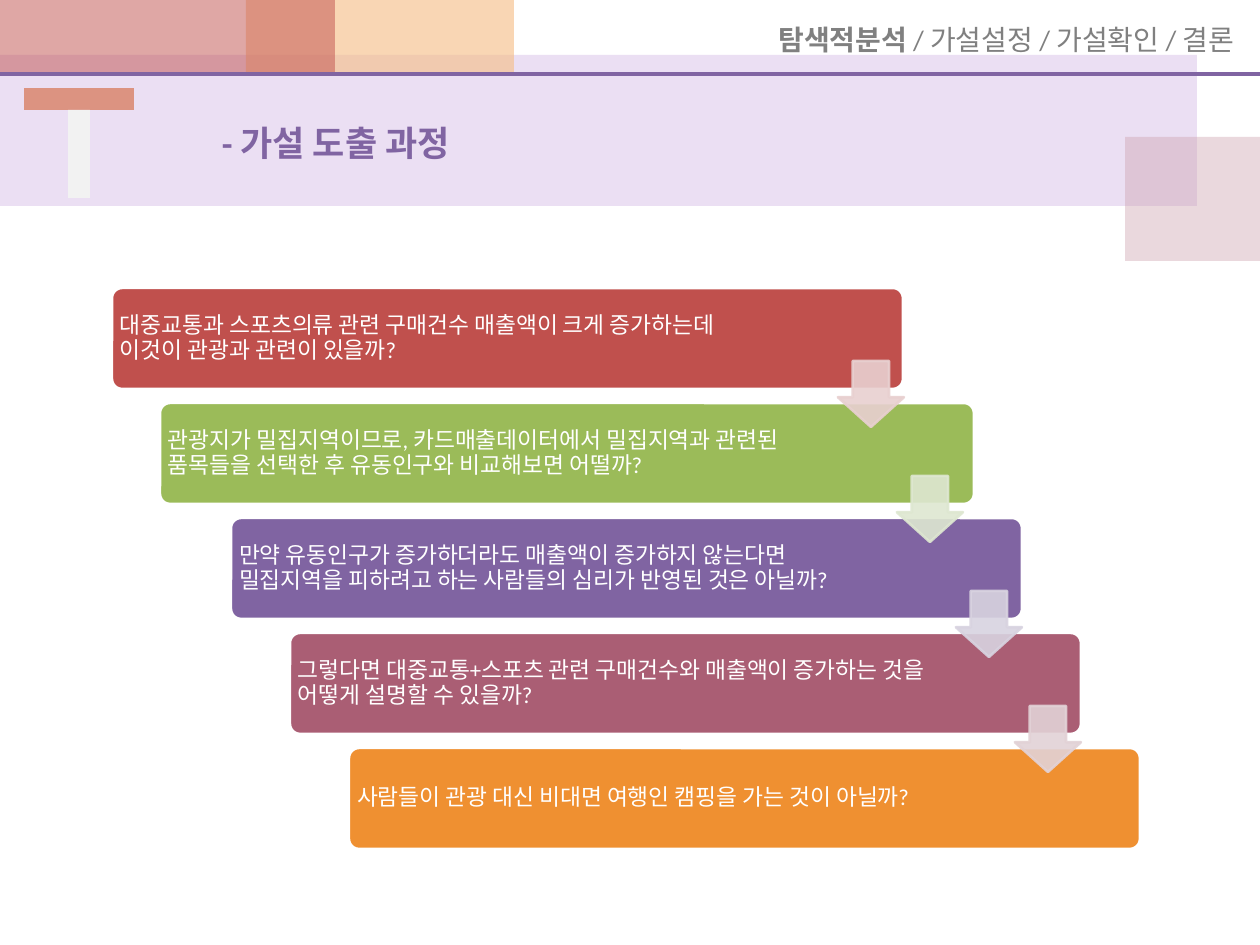
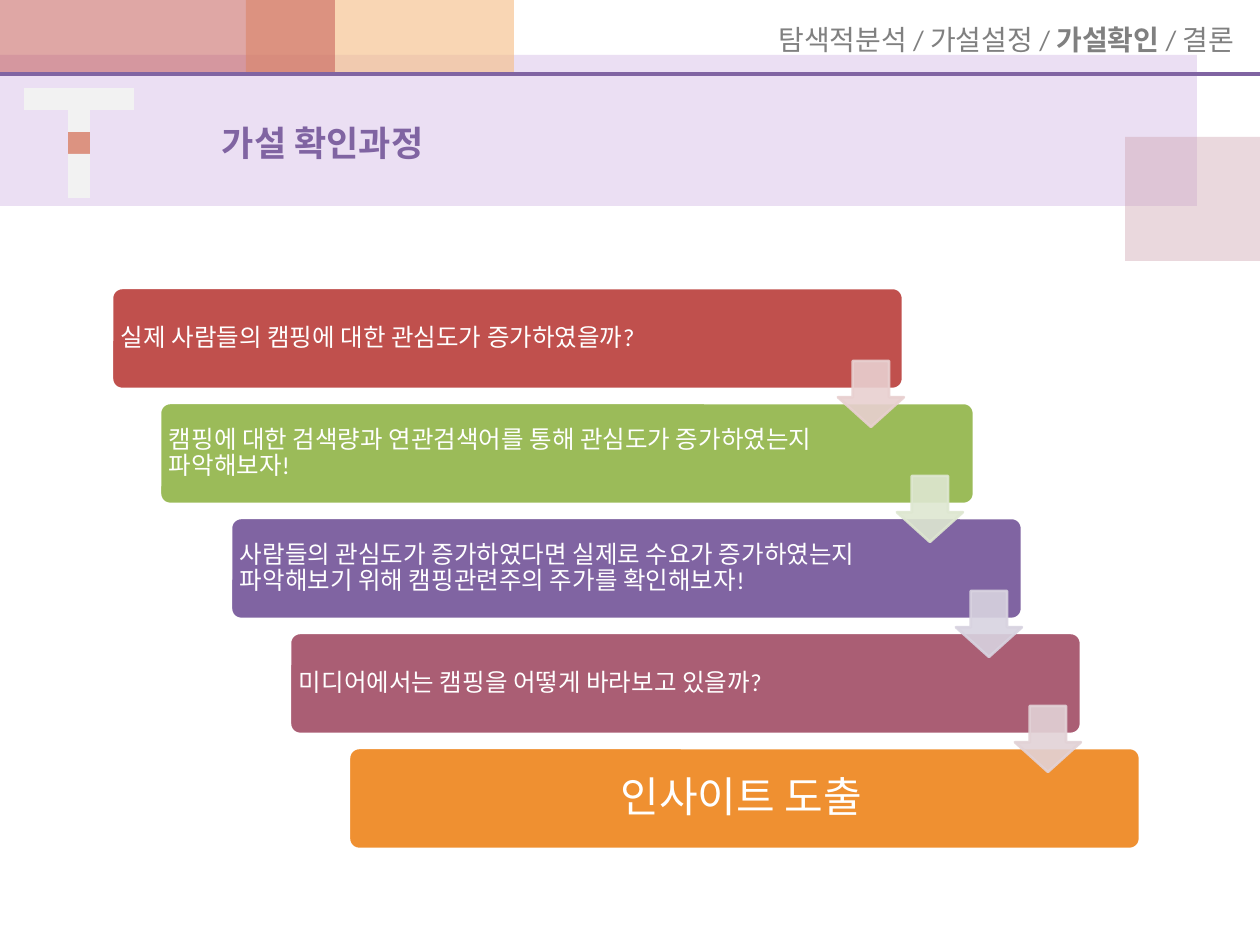
import pptx
import pptx.dml.color
import pptx.enum.shapes
import pptx.enum.text
import pptx.oxml.xmlchemy
import pptx.util
from lxml import etree
from pptx.oxml.ns import qn

RGBColor = pptx.dml.color.RGBColor
Shape = pptx.enum.shapes.MSO_SHAPE
Align = pptx.enum.text.PP_ALIGN
Anchor = pptx.enum.text.MSO_ANCHOR

WHITE = RGBColor(0xFF, 0xFF, 0xFF)
GRAY = RGBColor(0x80, 0x80, 0x80)
PALE_GRAY = RGBColor(0xF2, 0xF2, 0xF2)
LILAC = RGBColor(0xBF, 0x98, 0xD8)
ROSE = RGBColor(0xCC, 0x9E, 0xAC)
PEACH = RGBColor(0xF5, 0xBC, 0x83)
SALMON = RGBColor(0xDC, 0x93, 0x81)
RED = RGBColor(0xC0, 0x50, 0x4D)
GREEN = RGBColor(0x9B, 0xBB, 0x59)
PURPLE = RGBColor(0x80, 0x64, 0xA2)
MAUVE = RGBColor(0xAA, 0x5E, 0x74)
ORANGE = RGBColor(0xEF, 0x90, 0x31)
PALE_RED = RGBColor(0xE8, 0xD0, 0xD0)
PALE_GREEN = RGBColor(0xDE, 0xE7, 0xD1)
PALE_PURPLE = RGBColor(0xD8, 0xD3, 0xE0)
PALE_MAUVE = RGBColor(0xE2, 0xD2, 0xD6)

FONT = "Calibri"
SECTIONS = ["탐색적분석", "가설설정", "가설확인", "결론"]

# Each step is (text, size, centred)
PAGES = [
    {
        "title": "- 가설 도출 과정",
        "section": 0,
        "steps": [
            ("대중교통과 스포츠의류 관련 구매건수 매출액이 크게 증가하는데 이것이 관광과 관련이 있을까?", 13, False),
            ("관광지가 밀집지역이므로, 카드매출데이터에서 밀집지역과 관련된 품목들을 선택한 후 유동인구와 비교해보면 어떨까?", 13, False),
            ("만약 유동인구가 증가하더라도 매출액이 증가하지 않는다면 밀집지역을 피하려고 하는 사람들의 심리가 반영된 것은 아닐까?", 13, False),
            ("그렇다면 대중교통+스포츠 관련 구매건수와 매출액이 증가하는 것을 어떻게 설명할 수 있을까?", 13, False),
            ("사람들이 관광 대신 비대면 여행인 캠핑을 가는 것이 아닐까?", 13, False),
        ],
    },
    {
        "title": "가설 확인과정",
        "section": 2,
        "steps": [
            ("실제 사람들의 캠핑에 대한 관심도가 증가하였을까?", 14, False),
            ("캠핑에 대한 검색량과 연관검색어를 통해 관심도가 증가하였는지 파악해보자!", 14, False),
            ("사람들의 관심도가 증가하였다면 실제로 수요가 증가하였는지 파악해보기 위해 캠핑관련주의 주가를 확인해보자!", 14, False),
            ("미디어에서는 캠핑을 어떻게 바라보고 있을까?", 14, False),
            ("인사이트 도출", 24, True),
        ],
    },
]

# Left, top, width, height, colour, opacity in percent
BANDS = [
    (0, 55, 1197, 151, LILAC, 30),
    (1125, 137, 135, 124, ROSE, 40),
    (246, 0, 268, 74, PEACH, 60),
    (0, 0, 335, 74, RED, 50),
]
# Left, bar width, label width, colour
BARS = [
    (112, 791, 670, RED),
    (160, 814, 679, GREEN),
    (231, 791, 660, PURPLE),
    (290, 791, 660, MAUVE),
    (349, 791, 660, ORANGE),
]
ARROW_COLORS = [PALE_RED, PALE_GREEN, PALE_PURPLE, PALE_MAUVE]
BAR_TOP, BAR_PITCH, BAR_HEIGHT = 288, 115, 101
ARROW_LEFT, ARROW_TOP, ARROW_SHIFT, ARROW_SIZE = 838, 361, 59, 66
LABEL_RIGHT_MARGIN, CENTRED_INDENT = 14, 120
TILE_LEFT, TILE_TOP, TILE = 24, 88, 22
TILES = [(0, column) for column in range(5)] + [(row, 2) for row in range(1, 5)]


def px(length):
    return pptx.util.Emu(round(length * 914400 / 126))


def set_opacity(element, percent):
    for color in element.iter(qn("a:srgbClr")):
        etree.SubElement(color, qn("a:alpha"), val=str(percent * 1000))


def add_block(shapes, kind, bounds, fill, line=None, opacity=100, adjustments=()):
    shape = shapes.add_shape(kind, *map(px, bounds))
    shape.shadow.inherit = False
    shape.fill.solid()
    shape.fill.fore_color.rgb = fill
    if line is None:
        shape.line.fill.background()
    else:
        shape.line.color.rgb = line
        shape.line.width = pptx.util.Pt(1.5)
    for index, value in enumerate(adjustments):
        shape.adjustments[index] = value
    if opacity < 100:
        set_opacity(shape.fill._xPr, opacity)
    return shape


def add_text(shapes, bounds, text, size, color, bold_part=None, align=Align.LEFT,
             anchor=Anchor.MIDDLE, margins=(13, 6, 13, 6), line_spacing=None):
    """Add a text box; bold_part is the stretch of the text set in bold."""
    box = shapes.add_textbox(*map(px, bounds))
    frame = box.text_frame
    frame.word_wrap = True
    frame.vertical_anchor = anchor
    (frame.margin_left, frame.margin_top,
     frame.margin_right, frame.margin_bottom) = map(px, margins)
    para = frame.paragraphs[0]
    para.alignment = align
    if line_spacing:
        para.line_spacing = line_spacing
    before, bold, after = text.partition(bold_part) if bold_part else (text, "", "")
    for part, is_bold in ((before, False), (bold, True), (after, False)):
        if part:
            span = para.add_run()
            span.text = part
            span.font.name = FONT
            span.font.size = pptx.util.Pt(size)
            span.font.bold = is_bold
            span.font.color.rgb = color


def add_frame(page):
    """Draw the bands and the rule that every page shares."""
    for *bounds, color, opacity in BANDS:
        add_block(page.shapes, Shape.RECTANGLE, bounds, color, opacity=opacity)
    rule = page.shapes.add_connector(
        pptx.enum.shapes.MSO_CONNECTOR.STRAIGHT, px(0), px(74), px(1260), px(74))
    rule.line.color.rgb = PURPLE
    rule.line.width = pptx.util.Pt(2.25)
    etree.SubElement(rule._element.spPr, qn("a:effectLst"))


def add_steps(page, steps):
    shapes = page.shapes.add_group_shape().shapes
    for index, (bar, step) in enumerate(zip(BARS, steps)):
        left, width, label_width, color = bar
        text, size, centred = step
        top = BAR_TOP + index * BAR_PITCH
        add_block(shapes, Shape.ROUNDED_RECTANGLE, (left, top, width, BAR_HEIGHT),
                  color, line=WHITE, adjustments=(0.1,))
        inset = size // 2
        margins = (inset, inset, LABEL_RIGHT_MARGIN, inset)
        if centred:
            margins = (inset + CENTRED_INDENT, inset, inset, inset)
        add_text(shapes, (left + 2, top + 3, label_width, BAR_HEIGHT - 6), text, size,
                 WHITE, align=Align.CENTER if centred else Align.LEFT,
                 margins=margins, line_spacing=0.9)
    for index, color in enumerate(ARROW_COLORS):
        bounds = (ARROW_LEFT + index * ARROW_SHIFT, ARROW_TOP + index * BAR_PITCH,
                  ARROW_SIZE, ARROW_SIZE)
        add_block(shapes, Shape.DOWN_ARROW, bounds, color, line=color, opacity=90,
                  adjustments=(0.55, 0.45))


def add_tiles(page, active_row):
    """Draw the T of tiles with the row of the current section lit."""
    shapes = page.shapes.add_group_shape().shapes
    for row, column in TILES:
        bounds = (TILE_LEFT + column * TILE, TILE_TOP + row * TILE, TILE, TILE)
        add_block(shapes, Shape.RECTANGLE, bounds,
                  SALMON if row == active_row else PALE_GRAY)


def main():
    deck = pptx.Presentation()
    deck.slide_width, deck.slide_height = px(1260), px(945)
    for content in PAGES:
        page = deck.slides.add_slide(deck.slide_layouts[6])
        add_frame(page)
        add_steps(page, content["steps"])
        add_text(page.shapes, (209, 97, 844, 91), content["title"], 20, PURPLE,
                 bold_part=content["title"])
        add_tiles(page, content["section"])
        add_text(page.shapes, (667, 16, 580, 47), " / ".join(SECTIONS), 16, GRAY,
                 bold_part=SECTIONS[content["section"]], align=Align.RIGHT,
                 anchor=Anchor.TOP)
    deck.save("out.pptx")


if __name__ == "__main__":
    main()
